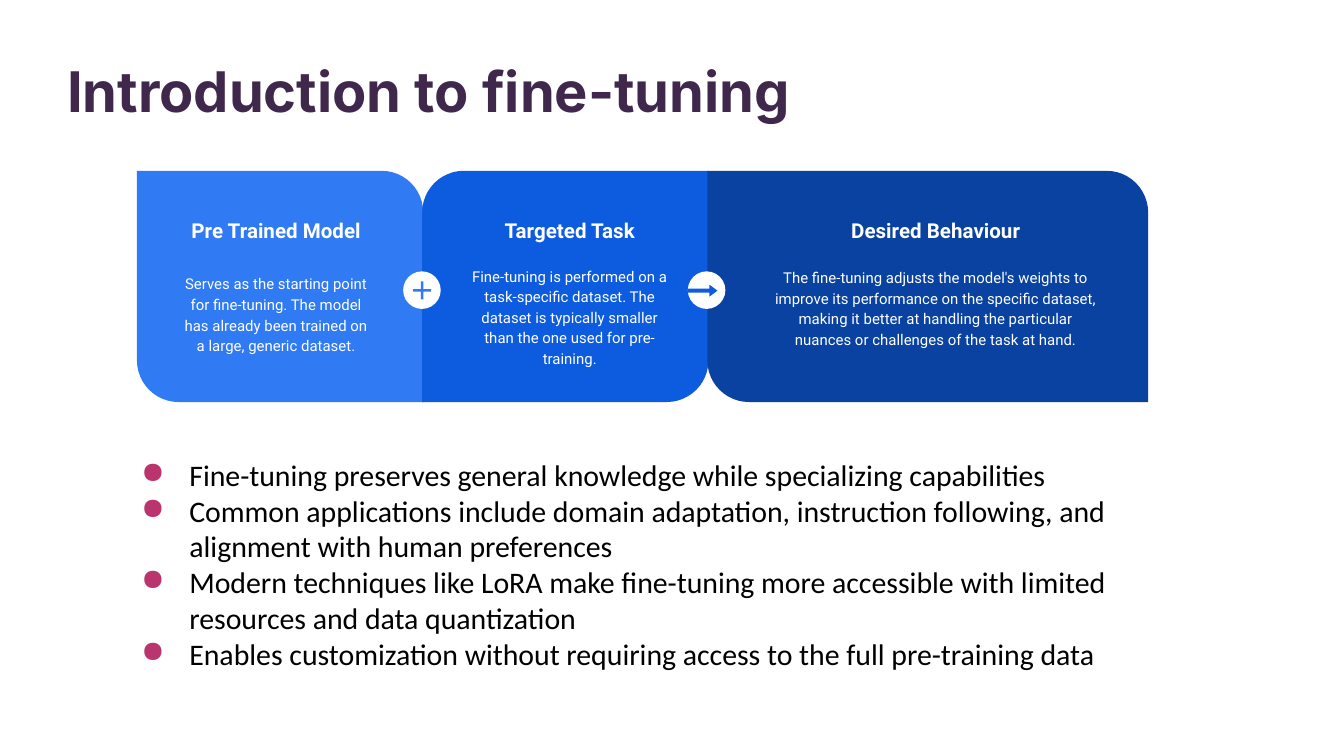
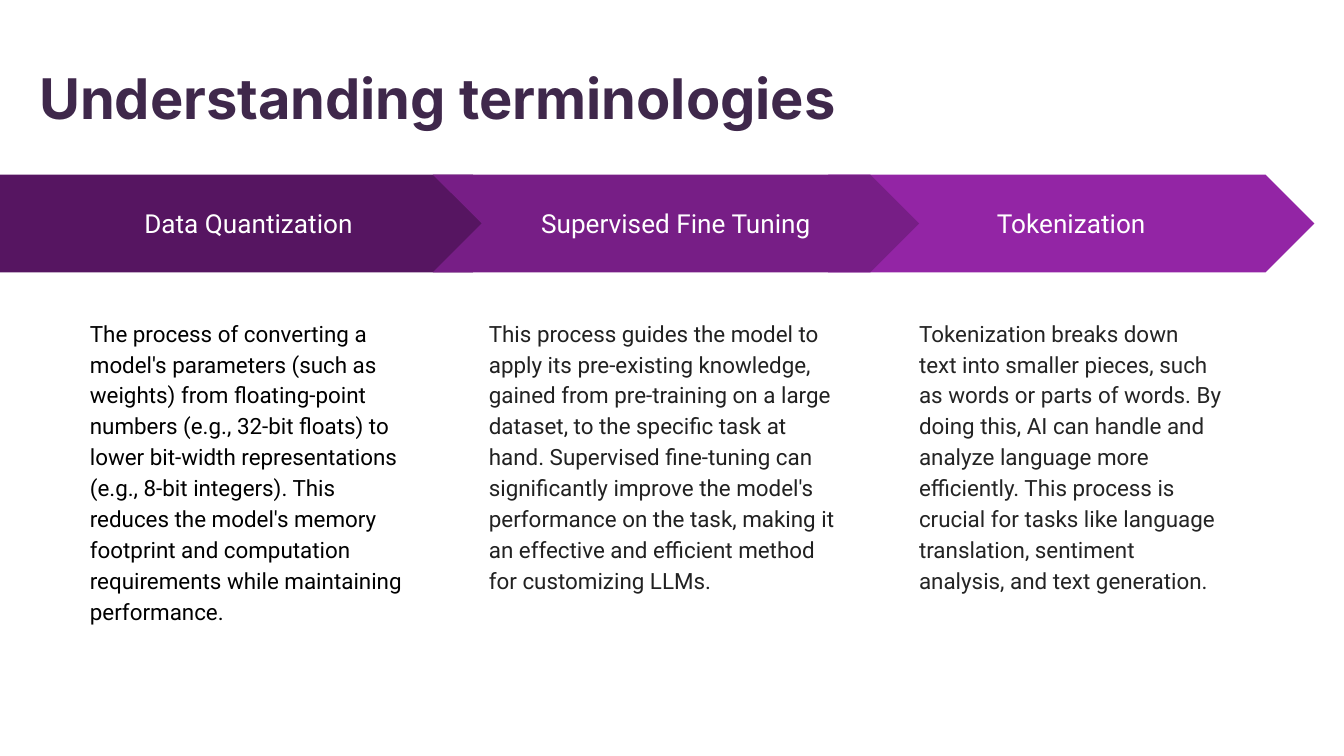
from lxml import etree
from pptx import Presentation, util as u
from pptx.dml import color
from pptx.enum import shapes, text
from pptx.oxml import ns

WHITE, BLACK, PLUM, PINK = "FFFFFF", "000000", "3F284B", "BA356D"
PALE, MID, DEEP = "307AF3", "0D5CDF", "0942A1"
KIND = shapes.MSO_SHAPE
LEFT, MIDDLE = text.PP_ALIGN.LEFT, text.PP_ALIGN.CENTER


def tint(code):
    """Turn a hex string into a colour."""
    return color.RGBColor.from_string(code)


class Deck:
    """Hold the style and the current slide."""

    def __init__(self):
        """Start an empty wide deck."""
        self.show = Presentation()
        self.show.slide_width, self.show.slide_height = u.Cm(25.4), u.Cm(14.29)
        self.slide = None

    def page(self, title, left, top, width):
        """Add a slide with its title."""
        self.slide = self.show.slides.add_slide(self.show.slide_layouts[6])
        self.slide.background.fill.solid()
        self.slide.background.fill.fore_color.rgb = tint(WHITE)
        self.box((left, top, width, 1.27), [title], 30, PLUM, "Inter",
                 bold=True, space=1.2, inset=0, grow=True)

    def label(self, shape, lines, size, ink, font="Roboto", bold=False,
              align=LEFT, space=None, inset=0.25):
        """Put styled paragraphs into a shape."""
        frame = shape.text_frame
        frame.text = "\n".join(lines)
        frame.word_wrap = True
        frame.margin_left = frame.margin_right = u.Cm(inset)
        frame.margin_top = frame.margin_bottom = u.Cm(inset)
        for para in frame.paragraphs:
            para.alignment = align
            if space:
                para.line_spacing = space
            for run in para.runs:
                run.font.name, run.font.size = font, u.Pt(size)
                run.font.bold = bold
                run.font.color.rgb = tint(ink)

    def box(self, place, lines, size, ink, font="Roboto", grow=False, **style):
        """Add a text box."""
        shape = self.slide.shapes.add_textbox(*map(u.Cm, place))
        self.label(shape, lines, size, ink, font, **style)
        if grow:
            shape.text_frame.auto_size = text.MSO_AUTO_SIZE.SHAPE_TO_FIT_TEXT
        return shape

    def form(self, kind, place, fill, *bends):
        """Add a flat preset shape."""
        shape = self.slide.shapes.add_shape(kind, *map(u.Cm, place))
        shape.shadow.inherit = False
        shape.fill.solid()
        shape.fill.fore_color.rgb = tint(fill)
        shape.line.fill.background()
        for spot, bend in enumerate(bends):
            shape.adjustments[spot] = bend
        return shape

    def card(self, place, fill, bends, head, note, left, width, top, height):
        """Add a rounded card with a heading and a note."""
        self.form(KIND.ROUND_2_DIAG_RECTANGLE, place, fill, *bends)
        self.box((left, 3.89, width, 1.27), [head], 11, WHITE,
                 bold=True, align=MIDDLE)
        self.box((left, top, width, height), [note], 8, WHITE,
                 align=MIDDLE, space=1.15)

    def band(self, kind, place, fill, head):
        """Add a labelled step of the arrow band."""
        shape = self.form(kind, place, fill, 0.5)
        self.label(shape, [head], 14, WHITE, align=MIDDLE)
        shape.text_frame.vertical_anchor = text.MSO_ANCHOR.MIDDLE

    def points(self, place, lines):
        """Add a bulleted list."""
        shape = self.box(place, lines, 16, BLACK, "Calibri", grow=True)
        for para in shape.text_frame.paragraphs:
            props = para._p.get_or_add_pPr()
            props.set("marL", str(u.Cm(1.27)))
            props.set("indent", str(u.Cm(-0.91)))
            hue = etree.SubElement(props, ns.qn("a:buClr"))
            etree.SubElement(hue, ns.qn("a:srgbClr")).set("val", PINK)
            etree.SubElement(props, ns.qn("a:buChar")).set("char", "●")


def intro(deck):
    """Build the slide on fine-tuning."""
    deck.page("Introduction to fine-tuning", 1.27, 0.81, 21.67)
    bend = 0.18
    cards = [
        (5.41, PALE, (0, bend), "Pre Trained Model",
         "Serves as the starting point for fine-tuning. The model has already "
         "been trained on a large, generic dataset.", 3.2, 4.04, 4.9, 2.03),
        (5.41, MID, (bend, 0), "Targeted Task",
         "Fine-tuning is performed on a task-specific dataset. The dataset is "
         "typically smaller than the one used for pre-training.",
         8.66, 4.22, 4.75, 2.39),
        (8.33, DEEP, (0, bend), "Desired Behaviour",
         "The fine-tuning adjusts the model's weights to improve its "
         "performance on the specific dataset, making it better at handling "
         "the particular nuances or challenges of the task at hand.",
         14.33, 6.71, 4.78, 1.42),
    ]
    for spot, (width, *rest) in enumerate(cards):
        deck.card((2.59 + 5.39 * spot, 3.23, width, 4.37), *rest)
    for left in (7.62, 13):
        deck.form(KIND.OVAL, (left, 5.13, 0.71, 0.71), WHITE)
    deck.form(KIND.MATH_PLUS, (7.75, 5.26, 0.46, 0.46), PALE, 0.1)
    deck.form(KIND.RIGHT_ARROW, (13, 5.38, 0.56, 0.23), MID, 0.32, 0.67)
    deck.points((2.06, 8.38, 19.18, 4.62), [
        "Fine-tuning preserves general knowledge while specializing "
        "capabilities",
        "Common applications include domain adaptation, instruction "
        "following, and alignment with human preferences",
        "Modern techniques like LoRA make fine-tuning more accessible with "
        "limited resources and data quantization",
        "Enables customization without requiring access to the full "
        "pre-training data",
    ])


def terms(deck):
    """Build the slide on terminologies."""
    deck.page("Understanding terminologies", 0.74, 0.94, 15.47)
    steps = [
        (KIND.CHEVRON, 15.65, 9.19, "9325A5", "Tokenization",
         17.12, 6.22, "242424",
         "Tokenization breaks down text into smaller pieces, such as words or "
         "parts of words. By doing this, AI can handle and analyze language "
         "more efficiently. This process is crucial for tasks like language "
         "translation, sentiment analysis, and text generation."),
        (KIND.PENTAGON, 0, 9.86, "561561", "Data Quantization",
         1.45, 6.58, BLACK,
         "The process of converting a model's parameters (such as weights) "
         "from floating-point numbers (e.g., 32-bit floats) to lower "
         "bit-width representations (e.g., 8-bit integers). This reduces the "
         "model's memory footprint and computation requirements while "
         "maintaining performance."),
        (KIND.CHEVRON, 8.18, 9.19, "771E86", "Supervised Fine Tuning",
         8.99, 7.26, "212121",
         "This process guides the model to apply its pre-existing knowledge, "
         "gained from pre-training on a large dataset, to the specific task "
         "at hand. Supervised fine-tuning can significantly improve the "
         "model's performance on the task, making it an effective and "
         "efficient method for customizing LLMs."),
    ]
    for kind, left, width, fill, head, edge, span, ink, note in steps:
        deck.band(kind, (left, 3.3, width, 1.85), fill, head)
        deck.box((edge, 5.72, span, 7.26), [note], 12, ink, space=1.15)


def main():
    """Build and save the deck."""
    deck = Deck()
    intro(deck)
    terms(deck)
    deck.show.save("out.pptx")


if __name__ == "__main__":
    main()
